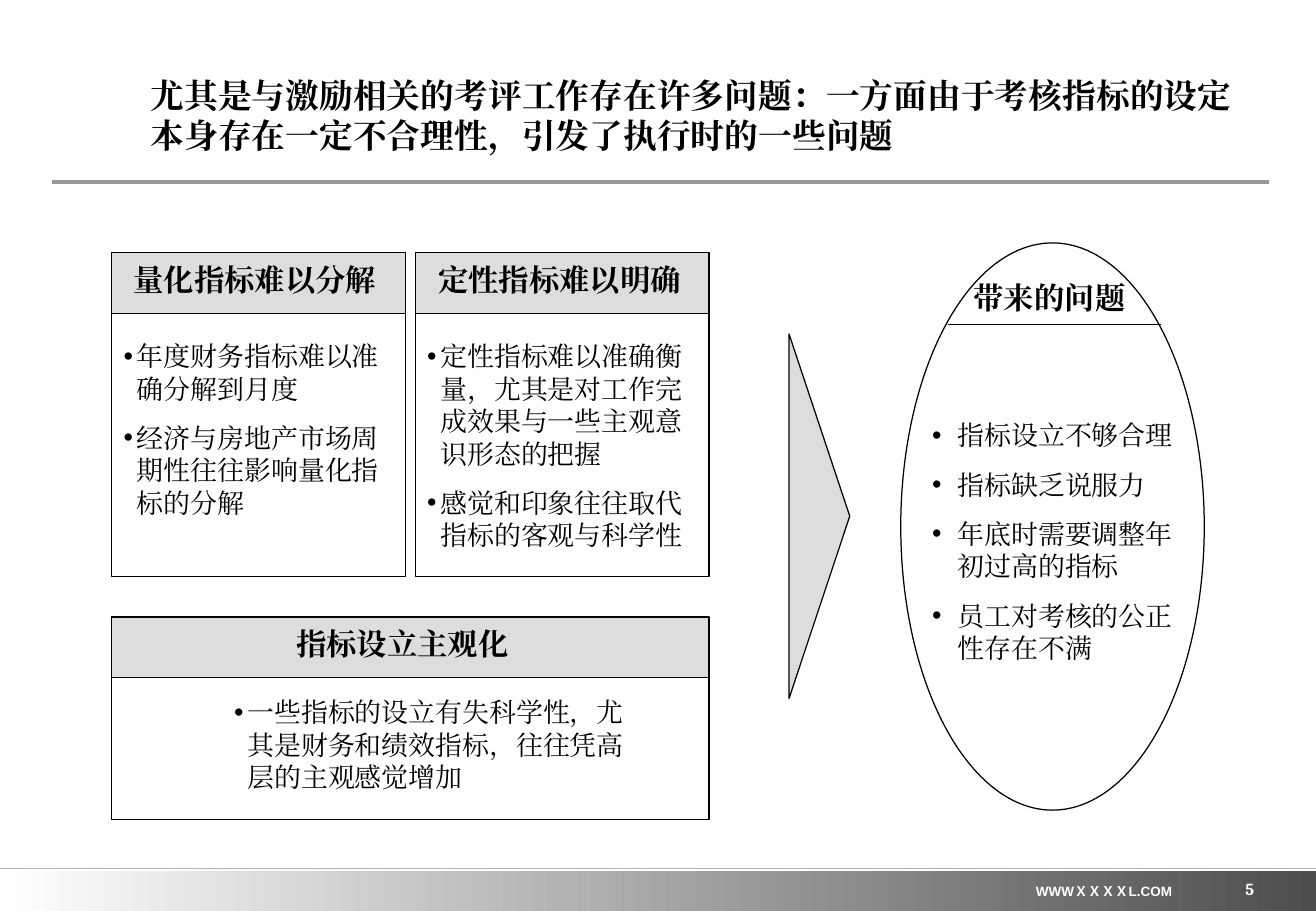
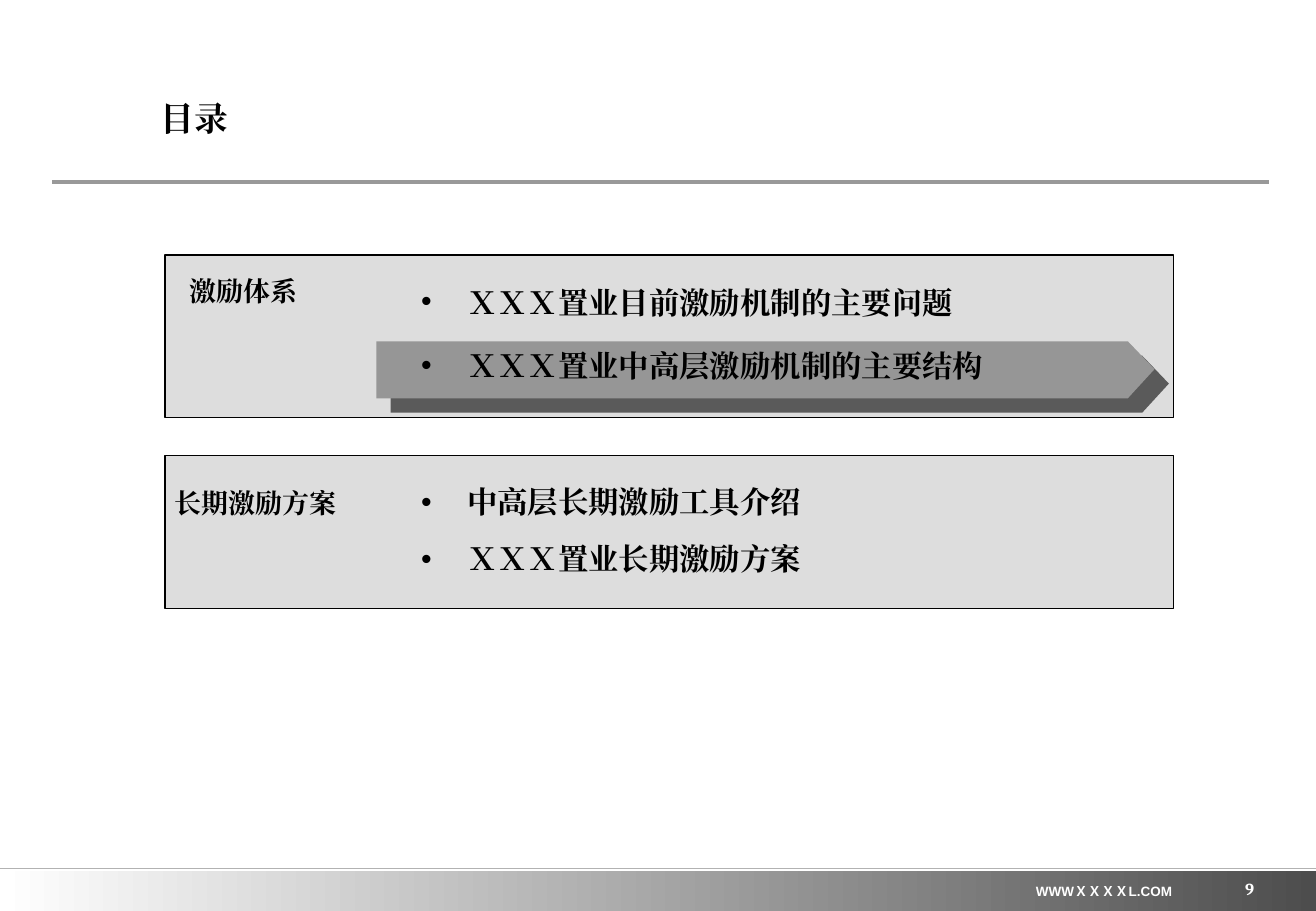
import pptx
import pptx.util
import pptx.dml.color
import pptx.enum.dml
import pptx.enum.shapes
import pptx.enum.text
import pptx.oxml.ns
import pptx.oxml.xmlchemy
from dataclasses import dataclass

Inches = pptx.util.Inches
Pt = pptx.util.Pt
SHAPE = pptx.enum.shapes.MSO_SHAPE
ALIGN = pptx.enum.text.PP_ALIGN
ANCHOR = pptx.enum.text.MSO_ANCHOR
qn = pptx.oxml.ns.qn


@dataclass(frozen=True)
class Theme:
    width: float = 10.84
    height: float = 7.5
    ink: str = "000000"
    paper: str = "FFFFFF"
    panel: str = "DDDDDD"
    highlight: str = "969696"
    shadow: str = "5A5A5A"
    rule: str = "999999"
    band_rule: str = "B2B2B2"
    band_end: str = "4D4D4D"
    heading_font: str = "Noto Sans CJK SC"
    body_font: str = "TeX Gyre Pagella"
    list_font: str = "Cambria"
    footer_font: str = "Arial"
    title_size: int = 20
    heading_size: int = 18
    body_size: int = 16
    number_size: int = 10
    footer_size: int = 8
    outline: float = 0.75


THEME = Theme()
FOOTER = "WWWＸＸＸＸL.COM"

ISSUES = {
    "title": "尤其是与激励相关的考评工作存在许多问题：一方面由于考核指标的设定本身存在一定不合理性，引发了执行时的一些问题",
    "title_at": (1.24, 0.58, 9.17, 0.73),
    "number": "5",
}
HEADER_HEIGHT = 0.5
PANELS = [
    {
        "at": (0.92, 2.08, 2.42, 2.67),
        "heading": "量化指标难以分解",
        "heading_at": (1, 2.1, 2.2, 0.4),
        "items": ["年度财务指标难以准确分解到月度", "经济与房地产市场周期性往往影响量化指标的分解"],
        "items_at": (0.92, 2.75, 2.42, 1.57),
    },
    {
        "at": (3.42, 2.08, 2.42, 2.67),
        "heading": "定性指标难以明确",
        "heading_at": (3.51, 2.1, 2.2, 0.4),
        "items": ["定性指标难以准确衡量，尤其是对工作完成效果与一些主观意识形态的把握", "感觉和印象往往取代指标的客观与科学性"],
        "items_at": (3.42, 2.75, 2.42, 1.84),
    },
    {
        "at": (0.92, 5.08, 4.92, 1.67),
        "heading": "指标设立主观化",
        "heading_at": (2.34, 5.1, 1.95, 0.4),
        "items": ["一些指标的设立有失科学性，尤其是财务和绩效指标，往往凭高层的主观感觉增加"],
        "items_at": (1.83, 5.68, 3.42, 0.9),
    },
]
RESULT_HEADING = "带来的问题"
RESULTS = ["指标设立不够合理", "指标缺乏说服力", "年底时需要调整年初过高的指标", "员工对考核的公正性存在不满"]

CONTENTS = {"title": "目录", "title_at": (1.32, 0.72, 2.71, 0.5), "number": "9"}
CHAPTERS = [
    {
        "at": (1.36, 2.1, 8.31, 1.34),
        "label": "激励体系",
        "label_at": (1.56, 2.21, 0.89, 0.32),
        "items": ["ＸＸＸ置业目前激励机制的主要问题", "ＸＸＸ置业中高层激励机制的主要结构"],
        "items_at": (3.37, 2.37, 6.77, 0.83),
        "format": {"line_spacing": 0.7, "before": 22.5},
    },
    {
        "at": (1.36, 3.75, 8.31, 1.26),
        "label": "长期激励方案",
        "label_at": (1.44, 3.95, 1.33, 0.32),
        "items": ["中高层长期激励工具介绍", "ＸＸＸ置业长期激励方案"],
        "items_at": (3.37, 3.93, 6.77, 0.87),
        "format": {"before": 12.4},
    },
]
CURRENT_CHAPTER = [(3.1, 2.81), (9.29, 2.81), (9.51, 3.04), (9.29, 3.28), (3.1, 3.28)]


def color(value):
    return pptx.dml.color.RGBColor.from_string(value)


def element(tag, **attributes):
    node = pptx.oxml.xmlchemy.OxmlElement(tag)
    for name, value in attributes.items():
        node.set(name, str(value))
    return node


def place(box, at):
    box.left, box.top, box.width, box.height = map(Inches, at)


def add_bullet(para, indent):
    properties = para._p.get_or_add_pPr()
    properties.set("marL", str(Inches(indent)))
    properties.set("indent", str(-Inches(indent)))
    properties.append(element("a:buFont", typeface=THEME.footer_font))
    properties.append(element("a:buChar", char="•"))


def write(box, paragraphs, *, size, font, ink=THEME.ink, bold=False, align=ALIGN.LEFT,
          anchor=ANCHOR.TOP, wrap=True, inset=(0.1, 0.05), bullet=None, before=0,
          line_spacing=None):
    frame = box.text_frame
    frame.auto_size = pptx.enum.text.MSO_AUTO_SIZE.NONE
    frame.word_wrap = wrap
    frame.vertical_anchor = anchor
    frame.margin_left = frame.margin_right = Inches(inset[0])
    frame.margin_top = frame.margin_bottom = Inches(inset[1])
    for index, text in enumerate(paragraphs):
        para = frame.add_paragraph() if index else frame.paragraphs[0]
        if bullet:
            add_bullet(para, bullet)
        para.alignment = align
        para.space_before = Pt(before if index else 0)
        if line_spacing:
            para.line_spacing = line_spacing
        span = para.add_run()
        span.text = text
        span.font.name = font
        span.font.size = Pt(size)
        span.font.bold = bold
        span.font.color.rgb = color(ink)
        properties = span._r.get_or_add_rPr()
        properties.set("lang", "zh-CN")
        asian_font = THEME.body_font if font == THEME.heading_font else font
        properties.find(qn("a:latin")).addnext(element("a:ea", typeface=asian_font))
    return box


def add_text(page, at, paragraphs, **style):
    return write(page.shapes.add_textbox(*map(Inches, at)), paragraphs, **style)


def add_heading(page, at, text):
    add_text(page, at, [text], size=THEME.heading_size, font=THEME.body_font,
             bold=True, align=ALIGN.CENTER, wrap=False)


def add_points(page, at, items, indent):
    add_text(page, at, items, size=THEME.body_size, font=THEME.body_font,
             bullet=indent, before=10)


def add_shape(page, preset, at, fill):
    shape = page.shapes.add_shape(preset, *map(Inches, at))
    shape.shadow.inherit = False
    shape.fill.solid()
    shape.fill.fore_color.rgb = color(fill)
    shape.line.color.rgb = color(THEME.ink)
    shape.line.width = Pt(THEME.outline)
    return shape


def add_rule(page, left, right, top, ink, weight):
    rule = page.shapes.add_connector(pptx.enum.shapes.MSO_CONNECTOR.STRAIGHT,
                                     *map(Inches, (left, top, right, top)))
    rule.line.color.rgb = color(ink)
    rule.line.width = Pt(weight)
    rule._element.spPr.append(element("a:effectLst"))
    return rule


def furnish_layout(layout, page):
    band = add_shape(page, SHAPE.RECTANGLE, (0, 7.17, THEME.width, 0.33), THEME.paper)
    band.line.fill.background()
    band.fill.gradient()
    band.fill.gradient_angle = 0
    for stop, shade in zip(band.fill.gradient_stops, (THEME.paper, THEME.band_end)):
        stop.color.rgb = color(shade)
    parts = [
        band,
        add_rule(page, 0.43, 10.45, 1.5, THEME.rule, 2.5),
        add_text(page, (8.41, 7.22, 1.37, 0.24), [FOOTER], size=THEME.footer_size,
                 font=THEME.footer_font, ink=THEME.paper, bold=True,
                 align=ALIGN.CENTER, wrap=False),
        add_rule(page, 0, THEME.width, 7.15, THEME.band_rule, 1),
    ]
    for number, part in enumerate(parts, 20):
        part._element.xpath(".//p:cNvPr")[0].set("id", str(number))
        layout.shapes.element.append(part._element)


def fill_frame(page, content):
    title = page.shapes.title
    place(title, content["title_at"])
    write(title, [content["title"]], size=THEME.title_size, font=THEME.heading_font,
          bold=True, anchor=ANCHOR.MIDDLE, inset=(0, 0))
    add_text(page, (8.07, 7.07, 2.26, 0.33), [content["number"]],
             size=THEME.number_size, font=THEME.list_font, ink=THEME.paper, bold=True,
             align=ALIGN.RIGHT, anchor=ANCHOR.BOTTOM, inset=(0, 0))


def draw_issues(page):
    fill_frame(page, ISSUES)
    add_shape(page, SHAPE.OVAL, (7.42, 2, 2.5, 4.67), THEME.paper)
    add_heading(page, (7.92, 2.25, 1.45, 0.4), RESULT_HEADING)
    add_points(page, (7.58, 3.4, 2.24, 2.52), RESULTS, 0.21)
    arrow = add_shape(page, SHAPE.RIGHT_ARROW, (6.5, 2.75, 0.5, 3), THEME.panel)
    arrow.adjustments[0], arrow.adjustments[1] = 0.51, 1
    add_rule(page, 7.81, 9.56, 2.67, THEME.ink, THEME.outline)
    for panel in PANELS:
        left, top, width, height = panel["at"]
        add_shape(page, SHAPE.RECTANGLE,
                  (left, top + HEADER_HEIGHT, width, height - HEADER_HEIGHT), THEME.paper)
        add_shape(page, SHAPE.RECTANGLE, (left, top, width, HEADER_HEIGHT), THEME.panel)
        add_heading(page, panel["heading_at"], panel["heading"])
        add_points(page, panel["items_at"], panel["items"], 0.11)


def draw_marker(page):
    start, *rest = [tuple(map(Inches, point)) for point in CURRENT_CHAPTER]
    builder = page.shapes.build_freeform(*start)
    builder.add_line_segments(rest, close=True)
    marker = builder.convert_to_shape()
    marker.shadow.inherit = False
    marker.fill.solid()
    marker.fill.fore_color.rgb = color(THEME.highlight)
    marker.line.fill.background()
    shadow = element("a:outerShdw", blurRad=0, dist=Pt(12.1), dir=45 * 60000,
                     algn="tl", rotWithShape=0)
    shadow.append(element("a:srgbClr", val=THEME.shadow))
    marker._element.spPr.find(qn("a:effectLst")).append(shadow)


def draw_contents(page):
    fill_frame(page, CONTENTS)
    for chapter in CHAPTERS:
        add_shape(page, SHAPE.RECTANGLE, chapter["at"], THEME.panel)
    draw_marker(page)
    for chapter in CHAPTERS:
        add_text(page, chapter["items_at"], chapter["items"], size=THEME.heading_size,
                 font=THEME.list_font, bold=True, bullet=0.38, **chapter["format"])
        add_text(page, chapter["label_at"], [chapter["label"]], size=THEME.body_size,
                 font=THEME.heading_font, bold=True, align=ALIGN.CENTER, wrap=False,
                 inset=(0, 0), line_spacing=1.2)


def main():
    deck = pptx.Presentation()
    deck.slide_width, deck.slide_height = Inches(THEME.width), Inches(THEME.height)
    layout = deck.slide_layouts[5]
    pages = [deck.slides.add_slide(layout) for _ in range(2)]
    furnish_layout(layout, pages[0])
    for draw, page in zip((draw_issues, draw_contents), pages):
        draw(page)
    deck.save("out.pptx")


if __name__ == "__main__":
    main()
